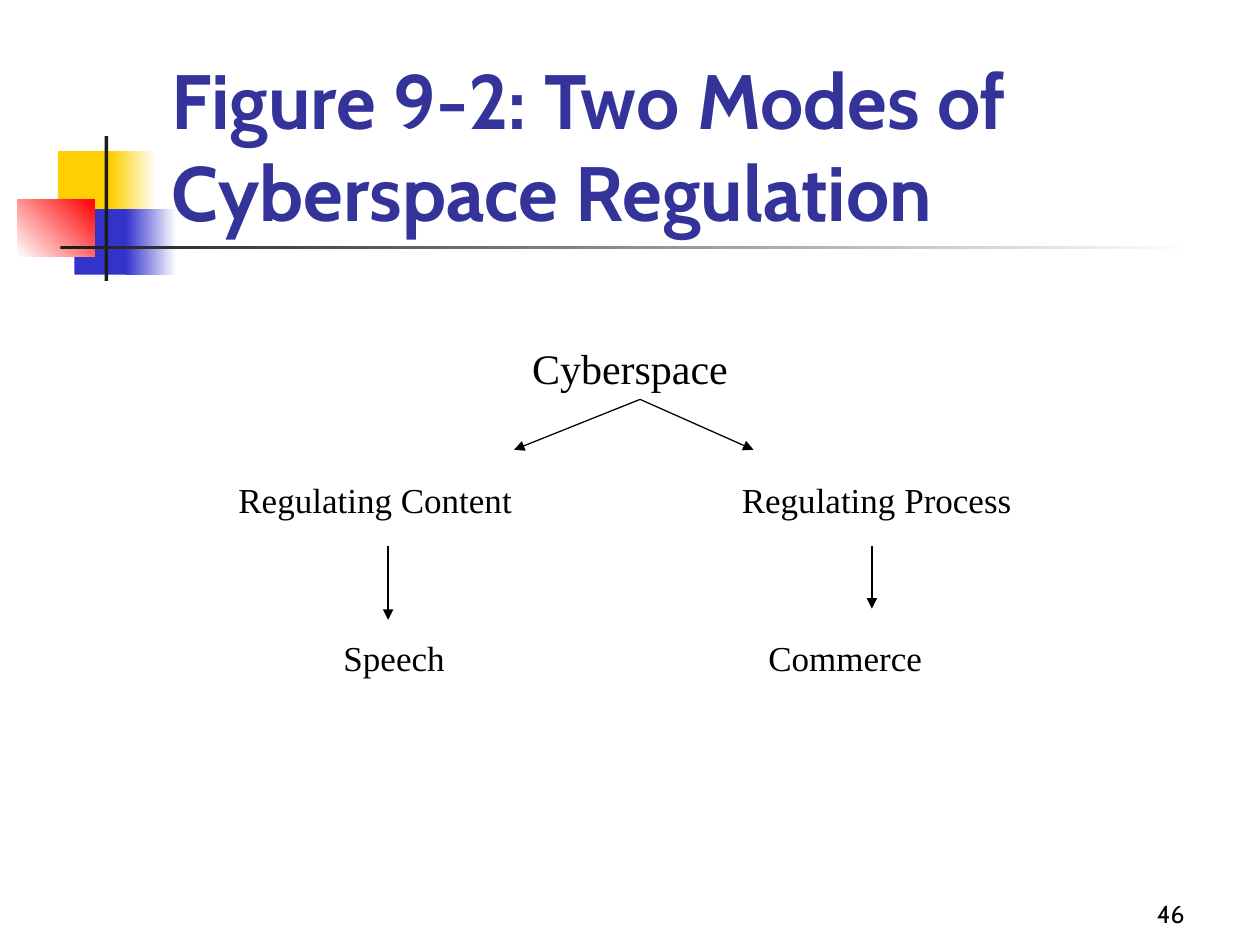
import pptx
import pptx.dml.color
import pptx.enum.dml
import pptx.enum.shapes
import pptx.enum.text
import pptx.oxml.ns
import pptx.util
from lxml import etree
from pptx.util import Inches

RGBColor = pptx.dml.color.RGBColor
ALIGN = pptx.enum.text.PP_ALIGN
ANCHOR = pptx.enum.text.MSO_ANCHOR

YELLOW = RGBColor(0xFF, 0xCF, 0x01)
BLUE = RGBColor(0x33, 0x33, 0xCC)
RED = RGBColor(0xFF, 0x00, 0x00)
DARK = RGBColor(0x1C, 0x1C, 0x1C)
NAVY = RGBColor(0x33, 0x33, 0x99)
WHITE = RGBColor(0xFF, 0xFF, 0xFF)
BLACK = RGBColor(0x00, 0x00, 0x00)
HEADING_FONT = "Cabin"
DIAGRAM_FONT = "Times New Roman"
TEXT_INSET = 0.1


def add_child(parent, tag, **attributes):
    return etree.SubElement(parent, pptx.oxml.ns.qn(tag), attributes)


def format_runs(paragraph, size, font_name, color, bold=False):
    for run in paragraph.runs:
        run.font.size = pptx.util.Pt(size)
        run.font.name = font_name
        run.font.color.rgb = color
        run.font.bold = bold


def add_rectangle(slide, box, start, end=None, angle=0):
    """Add a borderless rectangle, with a gradient if an end colour is given."""
    shape = slide.shapes.add_shape(
        pptx.enum.shapes.MSO_SHAPE.RECTANGLE, *map(Inches, box))
    shape.shadow.inherit = False
    shape.line.fill.background()
    if end is None:
        shape.fill.solid()
        shape.fill.fore_color.rgb = start
        return
    shape.fill.gradient()
    shape.fill.gradient_angle = angle
    for stop, color, position in zip(shape.fill.gradient_stops, (start, end), (0, 1)):
        stop.color.rgb = color
        stop.position = position


def add_text(slide, box, text, size, font_name, alignment, anchor=ANCHOR.TOP):
    text_frame = slide.shapes.add_textbox(*map(Inches, box)).text_frame
    text_frame.word_wrap = True
    text_frame.vertical_anchor = anchor
    text_frame.text = text
    paragraph = text_frame.paragraphs[0]
    paragraph.alignment = alignment
    format_runs(paragraph, size, font_name, BLACK)
    return paragraph


def add_label_row(slide, box, labels, centers):
    """Set the labels on one line, each on a centred tab stop."""
    text = "".join("\t" + label for label in labels)
    paragraph = add_text(slide, box, text, 20, DIAGRAM_FONT, ALIGN.LEFT)
    properties = paragraph._p.get_or_add_pPr()
    tab_list = add_child(properties, "a:tabLst")
    for center in centers:
        add_child(tab_list, "a:tab", pos=str(Inches(center - TEXT_INSET)), algn="ctr")


def add_arrow(slide, start, end):
    connector = slide.shapes.add_connector(
        pptx.enum.shapes.MSO_CONNECTOR.STRAIGHT, *map(Inches, start + end))
    connector.line.color.rgb = BLACK
    connector.line.width = pptx.util.Pt(0.75)
    add_child(connector.line._get_or_add_ln(), "a:tailEnd", type="triangle")
    add_child(connector._element.spPr, "a:effectLst")


def add_ornament(slide, left, top):
    """Draw the coloured squares and the two crossing rules."""
    def place(x, y, width, height, *colors):
        add_rectangle(slide, (left + x, top + y, width, height), *colors)

    place(0.32, 0.12, 0.48, 0.52, YELLOW)
    place(0.74, 0.12, 0.36, 0.52, YELLOW, WHITE)
    place(0.45, 0.58, 0.46, 0.52, BLUE)
    place(0.86, 0.58, 0.4, 0.52, BLUE, WHITE)
    place(0, 0.5, 0.61, 0.46, WHITE, RED, 45)
    place(0.69, 0, 0.03, 1.15, DARK)
    place(0.34, 0.87, 9, 0.03, DARK, WHITE)


def place_title(slide, box, text):
    title = slide.shapes.title
    title.left, title.top, title.width, title.height = map(Inches, box)
    text_frame = title.text_frame
    text_frame.text = text
    text_frame.word_wrap = True
    text_frame.auto_size = pptx.enum.text.MSO_AUTO_SIZE.NONE
    text_frame.vertical_anchor = ANCHOR.BOTTOM
    paragraph = text_frame.paragraphs[0]
    paragraph.alignment = ALIGN.LEFT
    format_runs(paragraph, 44, HEADING_FONT, NAVY, bold=True)
    # Bring the title in front of the ornament.
    title._element.getparent().append(title._element)


def add_regulation_tree(slide, left, top, width):
    root = (left + width / 2 + 0.08, top + 0.5)
    add_text(slide, (left, top, width, 0.5), "Cyberspace", 24, DIAGRAM_FONT, ALIGN.CENTER)
    add_label_row(slide, (left, top + 1.08, width, 0.43),
                  ("Regulating Content", "Regulating Process"),
                  (2.98, 6.96))
    add_label_row(slide, (left, top + 2.33, width, 0.43),
                  ("Speech", "Commerce"), (3.13, 6.71))
    for offset in (-1, 0.9):
        add_arrow(slide, root, (root[0] + offset, root[1] + 0.4))
    for x, length in ((3.08, 0.59), (6.92, 0.5)):
        start = (left + x, top + 1.66)
        add_arrow(slide, start, (start[0], start[1] + length))


def main():
    presentation = pptx.Presentation()
    presentation.slide_width = Inches(10)
    presentation.slide_height = Inches(7.5)
    title_only = presentation.slide_layouts[5]
    slide = presentation.slides.add_slide(title_only)
    add_ornament(slide, 0.14, 1.08)
    place_title(slide, (1.26, 0.68, 8.52, 1.25),
                "Figure 9-2: Two Modes of Cyberspace Regulation")
    add_regulation_tree(slide, 0, 2.67, 10)
    add_text(slide, (7.42, 6.92, 2.08, 0.5), "46", 14, HEADING_FONT,
             ALIGN.RIGHT, ANCHOR.BOTTOM)
    presentation.save("out.pptx")


if __name__ == "__main__":
    main()
